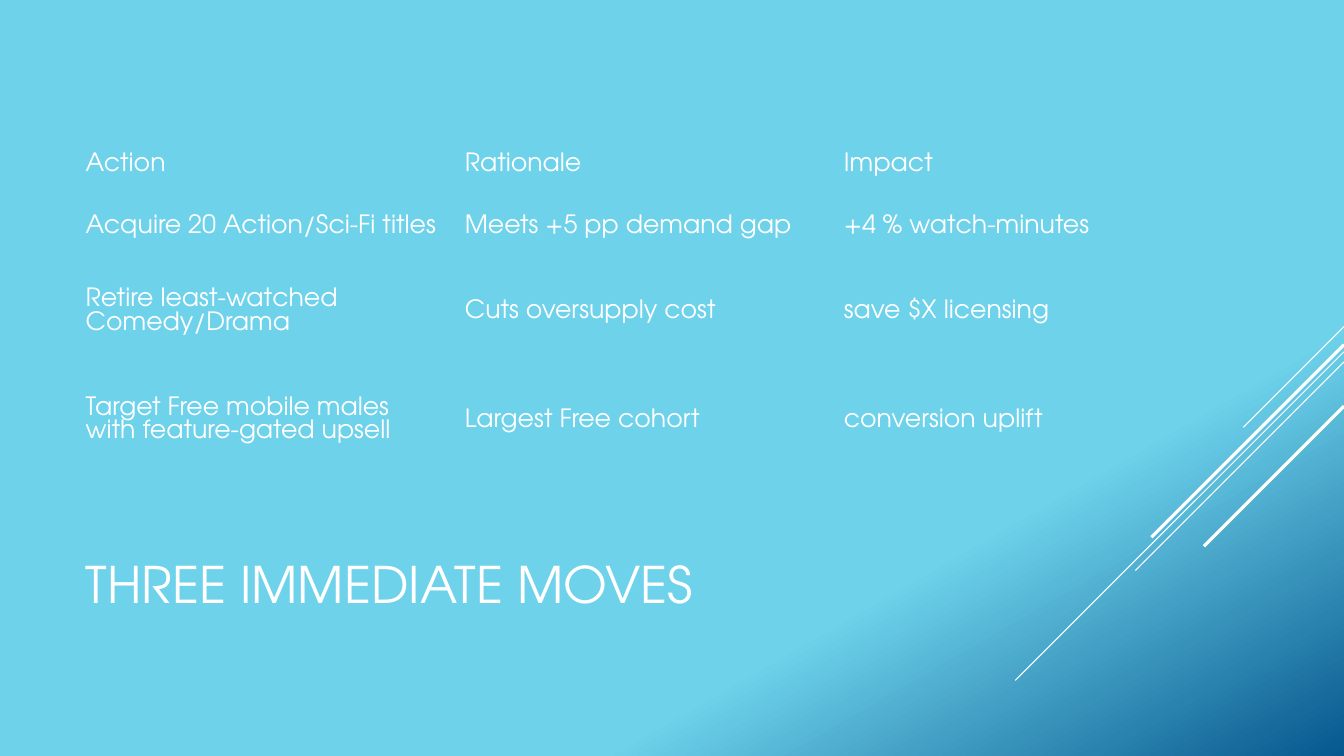
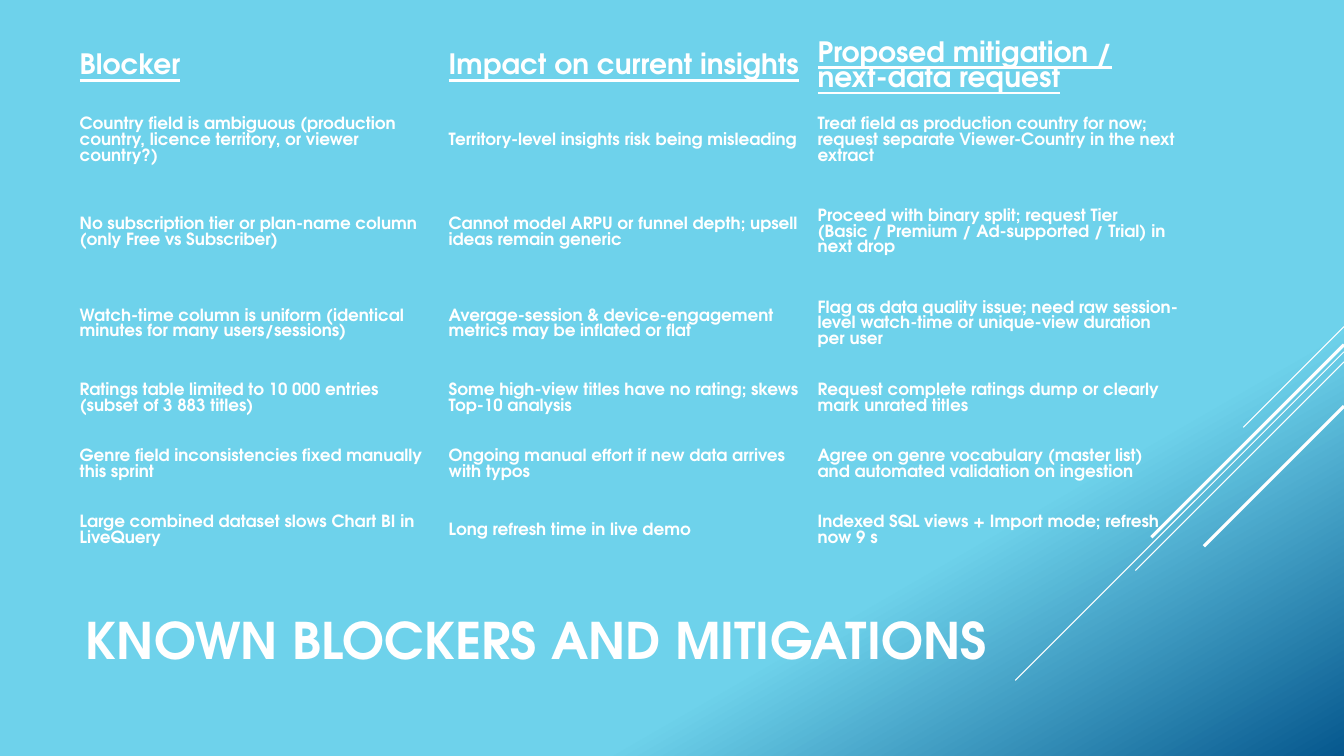
from lxml import etree
from pptx import Presentation
from pptx.dml.color import RGBColor
from pptx.enum.shapes import MSO_CONNECTOR
from pptx.enum.text import MSO_ANCHOR, MSO_AUTO_SIZE, PP_ALIGN
from pptx.oxml.ns import qn
from pptx.util import Inches, Pt

STRAIGHT = MSO_CONNECTOR.STRAIGHT
MIDDLE = MSO_ANCHOR.MIDDLE
NO_AUTOFIT = MSO_AUTO_SIZE.NONE
LEFT = PP_ALIGN.LEFT

FONT = "TeX Gyre Adventor"
WHITE, SKY, NAVY = "FFFFFF", "6ED2EB", "06588E"
PLAIN_TABLE_STYLE = "{2D5ABB26-0587-4C30-8999-92F81FD0307C}"
TITLE_ONLY = 5
PAGE_WIDTH = 13.33
MARGIN = 0.75

# Diagonal streaks from the right edge: start height, length across, weight
STREAKS = [
    (3.24, 1.00, 0.75),
    (3.49, 3.26, 0.75),
    (3.59, 2.07, 0.75),
    (3.42, 1.91, 2.25),
    (4.03, 1.39, 2.25),
]

MOVES = [
    ("Action", "Rationale", "Impact"),
    ("Acquire 20 Action/Sci-Fi titles", "Meets +5 pp demand gap", "+4 % watch-minutes"),
    ("Retire least-watched Comedy/Drama", "Cuts oversupply cost", "save $X licensing"),
    ("Target Free mobile males with feature-gated upsell", "Largest Free cohort",
     "conversion uplift"),
]

BLOCKERS = [
    ("Blocker", "Impact on current insights", "Proposed mitigation / next-data request"),
    ("Country field is ambiguous (production country, licence territory, or viewer country?)",
     "Territory-level insights risk being misleading",
     "Treat field as production country for now; request separate Viewer-Country "
     "in the next extract"),
    ("No subscription tier or plan-name column (only Free vs Subscriber)",
     "Cannot model ARPU or funnel depth; upsell ideas remain generic",
     "Proceed with binary split; request Tier (Basic / Premium / Ad-supported / Trial) "
     "in next drop"),
    ("Watch-time column is uniform (identical minutes for many users/sessions)",
     "Average-session & device-engagement metrics may be inflated or flat",
     "Flag as data quality issue; need raw session-level watch-time or unique-view "
     "duration per user"),
    ("Ratings table limited to 10 000 entries (subset of 3 883 titles)",
     "Some high-view titles have no rating; skews Top-10 analysis",
     "Request complete ratings dump or clearly mark unrated titles"),
    ("Genre field inconsistencies fixed manually this sprint",
     "Ongoing manual effort if new data arrives with typos",
     "Agree on genre vocabulary (master list) and automated validation on ingestion"),
    ("Large combined dataset slows Chart BI in LiveQuery",
     "Long refresh time in live demo",
     "Indexed SQL views + Import mode; refresh now 9 s"),
]


def color(value):
    return RGBColor.from_string(value)


class DeckBuilder:
    """Holds the shared style and the current page."""

    def __init__(self):
        self.deck = Presentation()
        self.deck.slide_width = Inches(PAGE_WIDTH)
        self.deck.slide_height = Inches(7.5)
        self.page = None
        self.paint_background()

    def paint_background(self):
        fill = self.deck.slide_master.background.fill
        fill.gradient()
        fill.gradient_angle = 300
        for stop, (position, value) in zip(fill.gradient_stops, [(0.72, SKY), (1, NAVY)]):
            stop.position = position
            stop.color.rgb = color(value)

    def add_page(self, title, title_top, bold=False):
        self.page = self.deck.slides.add_slide(self.deck.slide_layouts[TITLE_ONLY])
        for top, reach, weight in STREAKS:
            self.add_streak(top, reach, weight)
        self.set_title(title, title_top, bold)

    def add_streak(self, top, reach, weight):
        line = self.page.shapes.add_connector(
            STRAIGHT, Inches(PAGE_WIDTH), Inches(top),
            Inches(PAGE_WIDTH - reach), Inches(top + reach))
        line.line.color.rgb = color(WHITE)
        line.line.width = Pt(weight)
        etree.SubElement(line._element.spPr, qn("a:effectLst"))

    def set_title(self, text, top, bold):
        box = self.page.shapes.title
        box.left, box.top = Inches(MARGIN), Inches(top)
        box.width, box.height = Inches(9.33), Inches(1.65)
        frame = box.text_frame
        frame.text = text
        frame.word_wrap = True
        frame.auto_size = NO_AUTOFIT
        frame.vertical_anchor = MIDDLE
        frame.margin_top = Inches(0.15)
        self.style_para(frame.paragraphs[0], 36, bold)

    def style_para(self, para, size, bold=False, underline=False):
        para.alignment = LEFT
        font = para.font
        font.name, font.size = FONT, Pt(size)
        font.bold, font.underline = bold, underline
        font.color.rgb = color(WHITE)

    def add_table(self, rows, top, column_width, heights, head_size, body_size,
                  emphasis=False, insets=(0.1, 0.05)):
        count = len(rows[0])
        frame = self.page.shapes.add_table(
            len(rows), count, Inches(MARGIN), Inches(top),
            Inches(column_width * count), Inches(sum(heights)))
        table = frame.table
        table.first_row = table.horz_banding = False
        table._tbl.tblPr.find(qn("a:tableStyleId")).text = PLAIN_TABLE_STYLE
        for column in table.columns:
            column.width = Inches(column_width)
        side, edge = (Inches(inset) for inset in insets)
        for index, (texts, height) in enumerate(zip(rows, heights)):
            table.rows[index].height = Inches(height)
            head = index == 0
            for cell, text in zip(table.rows[index].cells, texts):
                cell.text = text
                cell.fill.background()
                cell.vertical_anchor = MIDDLE
                cell.margin_left = cell.margin_right = side
                cell.margin_top = cell.margin_bottom = edge
                self.style_para(cell.text_frame.paragraphs[0],
                                head_size if head else body_size,
                                emphasis, emphasis and head)


def main():
    builder = DeckBuilder()

    # Recommended moves
    builder.add_page("THREE IMMEDIATE MOVES", 4.91)
    builder.add_table(MOVES, 1.33, 3.76, [0.61, 0.61, 1.08, 1.08], 18, 18)

    # Blockers
    builder.add_page("KNOWN BLOCKERS AND MITIGATIONS", 5.47, bold=True)
    builder.add_table(BLOCKERS, 0.39, 3.66, [0.4, 0.91, 0.91, 0.91, 0.57, 0.74, 0.57],
                      20, 12, emphasis=True, insets=(0.04, 0.02))

    builder.deck.save("out.pptx")


if __name__ == "__main__":
    main()
